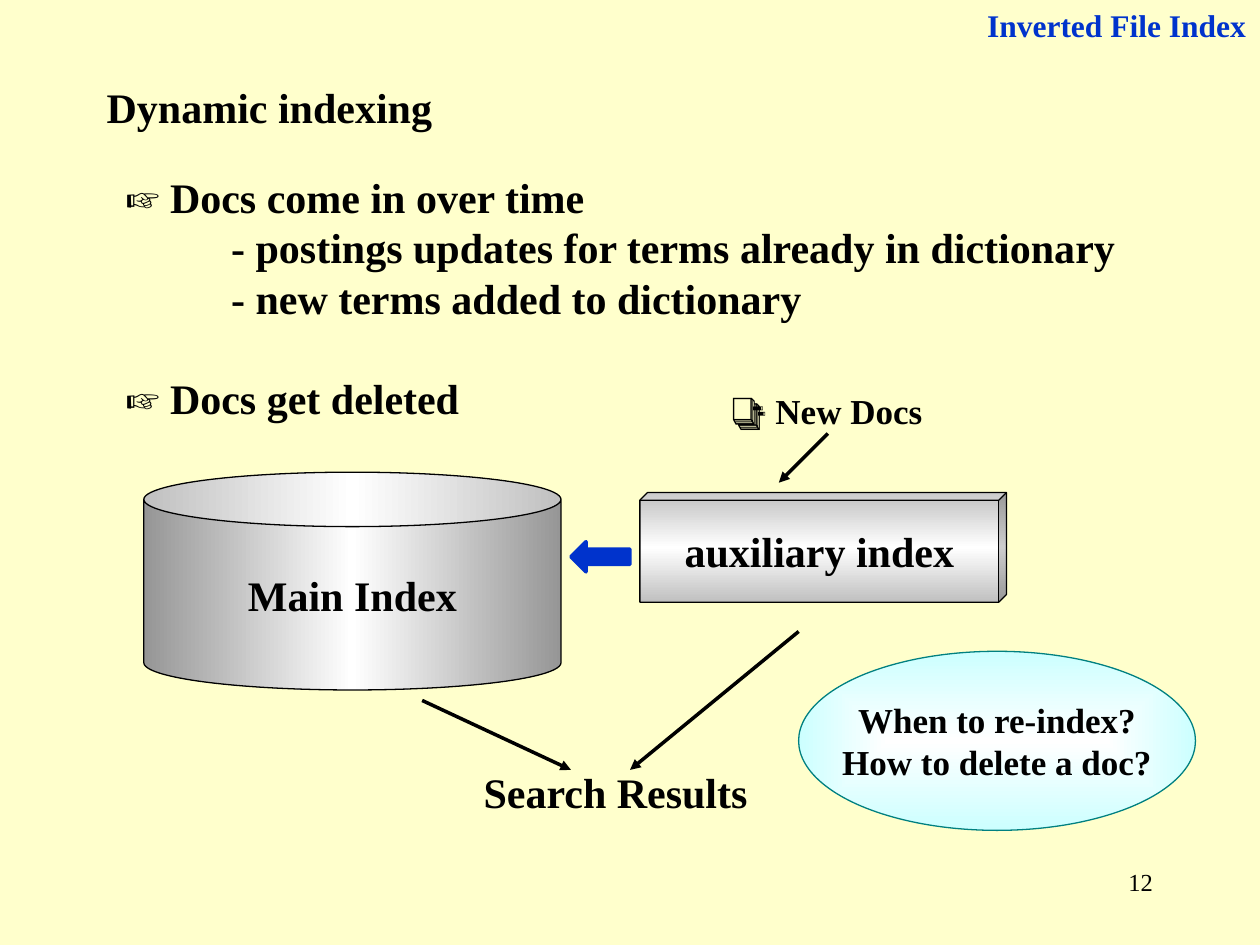
from lxml import etree
from pptx import Presentation
from pptx.dml.color import RGBColor
from pptx.enum.shapes import MSO_CONNECTOR, MSO_SHAPE
from pptx.enum.text import MSO_ANCHOR, PP_ALIGN
from pptx.oxml.ns import qn
from pptx.util import Cm, Pt

CREAM = RGBColor(0xFF, 0xFF, 0xCC)
BLACK = RGBColor(0x00, 0x00, 0x00)
WHITE = RGBColor(0xFF, 0xFF, 0xFF)
BLUE = RGBColor(0x00, 0x33, 0xCC)
GRAY = RGBColor(0x96, 0x96, 0x96)
SILVER = RGBColor(0xC0, 0xC0, 0xC0)
AQUA = RGBColor(0xCC, 0xFF, 0xFF)
TEAL = RGBColor(0x00, 0x80, 0x80)

LEFT, CENTER, RIGHT = PP_ALIGN.LEFT, PP_ALIGN.CENTER, PP_ALIGN.RIGHT
MIDDLE = MSO_ANCHOR.MIDDLE
STRAIGHT = MSO_CONNECTOR.STRAIGHT
CAN, CUBE, ELLIPSE = MSO_SHAPE.CAN, MSO_SHAPE.CUBE, MSO_SHAPE.OVAL
LEFT_ARROW = MSO_SHAPE.LEFT_ARROW


def write_line(paragraph, text, *, size=24, color=BLACK, bold=True,
               align=LEFT, indent=0, space_before=0):
    """Write one formatted paragraph; the indent is in centimetres."""
    paragraph.alignment = align
    if indent:
        paragraph._p.get_or_add_pPr().set("marL", str(Cm(indent)))
    if space_before:
        paragraph.space_before = Pt(space_before)
    run = paragraph.add_run()
    run.text = text
    run.font.name = "Times New Roman"
    run.font.size = Pt(size)
    run.font.bold = bold
    run.font.color.rgb = color


class SlideBuilder:
    """Holds the style and the current slide; boxes are in centimetres."""

    outline_width = Pt(0.75)
    arrow_width = Pt(2)

    def __init__(self, slide):
        self.slide = slide
        slide.background.fill.solid()
        slide.background.fill.fore_color.rgb = CREAM

    def text(self, box, *lines, **style):
        """Each line is a string or a (string, own format) pair."""
        shape = self.slide.shapes.add_textbox(*map(Cm, box))
        shape.text_frame.word_wrap = True
        self._fill_frame(shape.text_frame, lines, style)

    def shape(self, kind, box, *lines, line_color=BLACK, adjustment=None, **style):
        shape = self.slide.shapes.add_shape(kind, *map(Cm, box))
        shape.shadow.inherit = False
        if adjustment is not None:
            shape.adjustments[0] = adjustment
        shape.line.color.rgb = line_color
        shape.line.width = self.outline_width
        if lines:
            shape.text_frame.word_wrap = False
            shape.text_frame.vertical_anchor = MIDDLE
            self._fill_frame(shape.text_frame, lines, {"align": CENTER, **style})
        return shape

    def gradient(self, shape, *colors, angle=None):
        """Spread colours evenly; without an angle they run from the centre."""
        shape.fill.gradient()
        gradient = shape._element.spPr.find(qn("a:gradFill"))
        for child in list(gradient):
            gradient.remove(child)
        stops = etree.SubElement(gradient, qn("a:gsLst"))
        for index, color in enumerate(colors):
            position = str(100000 * index // (len(colors) - 1))
            stop = etree.SubElement(stops, qn("a:gs"), pos=position)
            etree.SubElement(stop, qn("a:srgbClr"), val=str(color))
        if angle is None:
            center = etree.SubElement(gradient, qn("a:path"), {"path": "shape"})
            etree.SubElement(center, qn("a:fillToRect"),
                             dict.fromkeys("ltrb", "50000"))
        else:
            etree.SubElement(gradient, qn("a:lin"), ang=str(angle * 60000), scaled="1")

    def block_arrow(self, box, color):
        arrow = self.shape(LEFT_ARROW, box, line_color=color)
        arrow.fill.solid()
        arrow.fill.fore_color.rgb = color
        arrow.line.width = self.arrow_width

    def arrow(self, start, end):
        connector = self.slide.shapes.add_connector(
            STRAIGHT, *map(Cm, (*start, *end)))
        connector.line.color.rgb = BLACK
        connector.line.width = self.arrow_width
        etree.SubElement(connector.line._get_or_add_ln(), qn("a:tailEnd"),
                         type="triangle")
        etree.SubElement(connector._element.spPr, qn("a:effectLst"))

    def _fill_frame(self, frame, lines, style):
        for index, line in enumerate(lines):
            text, own_style = (line, {}) if isinstance(line, str) else line
            paragraph = frame.add_paragraph() if index else frame.paragraphs[0]
            write_line(paragraph, text, **{**style, **own_style})


def main():
    presentation = Presentation()
    presentation.slide_width = Cm(25.4)
    presentation.slide_height = Cm(19.05)
    builder = SlideBuilder(presentation.slides.add_slide(presentation.slide_layouts[6]))

    # Page number, running header and title
    builder.text((18.21, 17.35, 5.28, 1.27), "12", size=14, bold=False, align=RIGHT)
    builder.text((19.1, 0, 6.27, 1.02), "Inverted File Index",
                 size=18, color=BLUE, align=RIGHT)
    builder.text((1.9, 1.52, 8.79, 1.27), "Dynamic indexing")

    # Changes to the collection
    detail = {"indent": 2.12}
    builder.text((2.29, 3.33, 20.6, 5.33),
                 "☞ Docs come in over time",
                 ("- postings updates for terms already in dictionary", detail),
                 ("- new terms added to dictionary", detail),
                 ("☞ Docs get deleted", {"space_before": 28.8}))

    # Main and auxiliary index
    main_index = builder.shape(CAN, (2.9, 9.52, 8.41, 4.39), "Main Index",
                               adjustment=0.25)
    builder.gradient(main_index, GRAY, WHITE, GRAY, angle=0)
    auxiliary_index = builder.shape(CUBE, (12.9, 9.93, 7.39, 2.21),
                                    "auxiliary index", adjustment=0.07)
    builder.gradient(auxiliary_index, SILVER, WHITE, SILVER, angle=90)

    # New documents flow into the auxiliary index
    builder.text((14.5, 7.72, 5.21, 1.09), "📑 New Docs", size=20)
    builder.arrow((16.69, 8.74), (15.7, 9.73))

    # Both indexes feed the search results
    builder.text((9.5, 15.32, 6.2, 1.27), "Search Results")
    builder.arrow((8.51, 14.12), (11.51, 15.52))
    builder.arrow((16.1, 12.73), (12.7, 15.52))

    # Merge arrow and open questions
    builder.block_arrow((11.51, 10.92, 1.19, 0.61), BLUE)
    questions = builder.shape(ELLIPSE, (16.1, 13.13, 8, 3.61), "When to re-index?",
                              "How to delete a doc?", line_color=TEAL, size=20)
    builder.gradient(questions, WHITE, AQUA)

    presentation.save("out.pptx")


if __name__ == "__main__":
    main()
